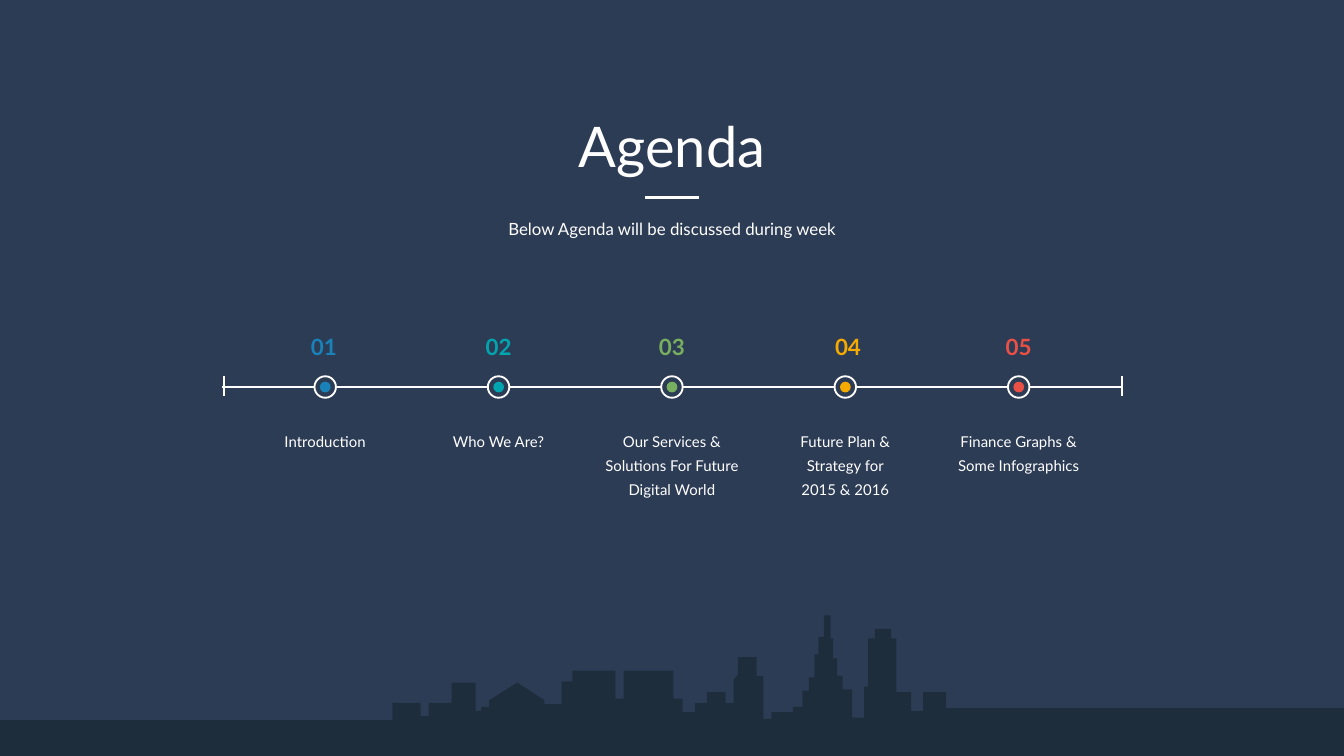
from pptx import Presentation, util as u
from pptx.dml.color import RGBColor
from pptx.enum import shapes, text
from pptx.oxml.xmlchemy import OxmlElement

WHITE, NAVY, DARK = "FFFFFF", "2D3C55", "1E2D3C"
W, H = 10, 10 * 9 / 16
MID = W / 2
STEP = 1.29  # gap between agenda columns
AXIS = 2.88  # height of the time line


def paint(form, color):
    """Give a fill, line or font format one solid colour."""
    if hasattr(form, "solid"):
        form.solid()
        form.fore_color.rgb = RGBColor.from_string(color)
    else:
        form.color.rgb = RGBColor.from_string(color)


def write(box, x, y, w, h, words, size, color=WHITE, bold=False, lead=None):
    """Centre a box on x and fill it with one paragraph per line of words."""
    box.left, box.top, box.width, box.height = map(u.Inches, (x - w / 2, y, w, h))
    frame = box.text_frame
    frame.text = words
    frame.word_wrap = True
    frame.auto_size = text.MSO_AUTO_SIZE.NONE
    frame.vertical_anchor = text.MSO_ANCHOR.TOP
    frame.margin_left = frame.margin_right = frame.margin_top = frame.margin_bottom = 0
    for par in frame.paragraphs:
        par.alignment = text.PP_ALIGN.CENTER
        if lead:
            par.line_spacing = u.Pt(lead)
        par.font.name, par.font.size, par.font.bold = "Lato", u.Pt(size), bold
        paint(par.font, color)


deck = Presentation()
deck.slide_width, deck.slide_height = u.Inches(W), u.Inches(H)
slide = deck.slides.add_slide(deck.slide_layouts[5])
paint(slide.background.fill, NAVY)
items = slide.shapes

# Skyline, left to right: left edge, roof height, then any sloping roof points
roofs = [
    (0, 5.36), (2.92, 5.23), (3.13, 5.33), (3.19, 5.23), (3.36, 5.08), (3.54, 5.29),
    (3.58, 5.26), (3.64, 5.21, (3.85, 5.08), (4.05, 5.21)), (4.05, 5.24),
    (4.18, 5.07), (4.26, 4.99), (4.58, 5.2), (4.64, 4.99), (5.01, 5.2), (5.08, 5.3),
    (5.17, 5.23), (5.26, 5.15), (5.4, 5.23), (5.46, 5.06, (5.49, 5.02)),
    (5.49, 4.89), (5.63, 5.03), (5.68, 5.35), (5.74, 5.3), (5.9, 5.26), (5.97, 5.14),
    (6.02, 5.04), (6.06, 4.87), (6.09, 4.74), (6.13, 4.58), (6.18, 4.75), (6.2, 4.9),
    (6.23, 5.03), (6.27, 5.13), (6.34, 5.34), (6.43, 5.11), (6.46, 4.75),
    (6.51, 4.68), (6.63, 4.75), (6.67, 5.15), (6.78, 5.29), (6.87, 5.15), (7.04, 5.27),
]
points = [(0, H)]
for left, top, *slope in roofs:
    points += [(left, points[-1][1]), (left, top), *slope]
points += [(W, points[-1][1]), (W, H)]
# Freeform units are whole numbers, so draw in thousandths of an inch
units = [(round(x * 1000), round(y * 1000)) for x, y in points]
pen = items.build_freeform(*units[0], scale=u.Inches(1) / 1000)
pen.add_line_segments(units[1:], close=True)
city = pen.convert_to_shape()
city.shadow.inherit = False
paint(city.fill, DARK)
city.line.fill.background()

# Heading
write(items.title, MID, 0.83, 3.84, 0.5, "Agenda", 30)
write(items.add_textbox(0, 0, 0, 0), MID, 1.63, 2.67, 0.15,
      "Below Agenda will be discussed during week", 9)
rule = items.add_shape(shapes.MSO_SHAPE.RECTANGLE, u.Inches(MID - 0.2),
                       u.Inches(1.46), u.Inches(0.4), u.Inches(0.02))
rule.shadow.inherit = False
paint(rule.fill, WHITE)
rule.line.fill.background()

# Time line with its two end ticks
low, high = AXIS - 0.08, AXIS + 0.07
for x1, y1, x2, y2, weight in [(1.65, AXIS, 8.35, AXIS, 1.5),
                               (1.67, low, 1.67, high, 1),
                               (8.35, low, 8.35, high, 1)]:
    line = items.add_connector(shapes.MSO_CONNECTOR.STRAIGHT,
                               *map(u.Inches, (x1, y1, x2, y2)))
    paint(line.line, WHITE)
    line.line.width = u.Pt(weight)
    line._element.spPr.append(OxmlElement("a:effectLst"))

# Agenda columns: colour, number's shift from the column centre, topic, lines
topics = [
    ("1982B9", -0.01, "Introduction", 1),
    ("00A5AF", 0, "Who We Are?", 1),
    ("78AF5F", 0, "Our Services & Solutions For Future Digital World", 3),
    ("F5AA00", 0.02, "Future Plan & Strategy for\n2015 & 2016", 3),
    ("EB5046", 0, "Finance Graphs & Some Infographics", 2),
]
for i, (color, shift, topic, rows) in enumerate(topics):
    x = MID + (i - 2) * STEP
    for size, fill in [(0.16, NAVY), (0.08, color)]:
        dot = items.add_shape(shapes.MSO_SHAPE.OVAL, u.Inches(x - size / 2),
                              u.Inches(AXIS - size / 2), u.Inches(size), u.Inches(size))
        dot.shadow.inherit = False
        paint(dot.fill, fill)
        if fill == NAVY:
            paint(dot.line, WHITE)
            dot.line.width = u.Pt(1)
        else:
            dot.line.fill.background()
    write(items.add_textbox(0, 0, 0, 0), x + shift, 2.48, 0.23, 0.2,
          f"{i + 1:02}", 12, color, bold=True)
    write(items.add_textbox(0, 0, 0, 0), x, 3.17, 1, rows * 0.18, topic, 8, lead=13)

deck.save("out.pptx")
